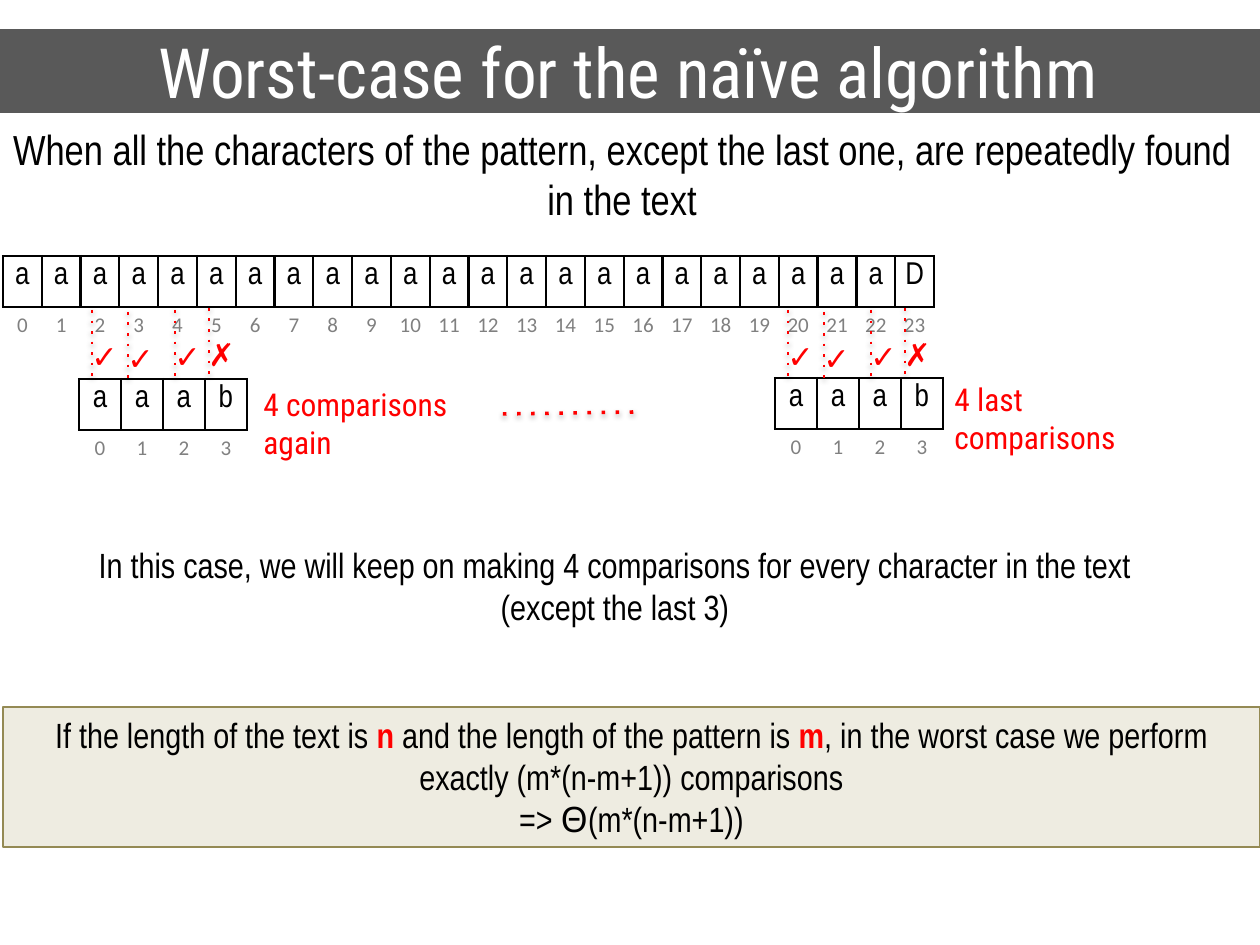
from lxml.etree import SubElement
from pptx import Presentation
from pptx.dml.color import RGBColor
from pptx.enum.shapes import MSO_CONNECTOR, MSO_SHAPE
from pptx.enum.text import MSO_ANCHOR, MSO_AUTO_SIZE, PP_ALIGN
from pptx.oxml import parse_xml
from pptx.oxml.ns import nsdecls, qn
from pptx.util import Emu, Pt

BLACK = RGBColor(0x00, 0x00, 0x00)
WHITE = RGBColor(0xFF, 0xFF, 0xFF)
RED = RGBColor(0xFF, 0x00, 0x00)
GRAY = RGBColor(0x80, 0x80, 0x80)
DARK = RGBColor(0x59, 0x59, 0x59)
CREAM = RGBColor(0xEE, 0xEC, 0xE1)
OLIVE = RGBColor(0x94, 0x8A, 0x54)
NARROW, CONDENSED = "Arial Narrow", "Roboto Condensed"
NO_GRID = "{2D5ABB26-0587-4C30-8999-92F81FD0307C}"
ROW_H = 51
SHADOW = (f'<a:effectLst {nsdecls("a")}><a:outerShdw blurRad="40000" dist="20000" '
          'dir="5400000" rotWithShape="0"><a:srgbClr val="000000">'
          '<a:alpha val="38000"/></a:srgbClr></a:outerShdw></a:effectLst>')


def px(n):
    return Emu(round(n * 914400 / 126))


class Deck:
    """Holds the style and the current slide."""

    def __init__(self, prs):
        self.s = prs.slides.add_slide(prs.slide_layouts[5])

    def style(self, p, size, font, color, align=PP_ALIGN.CENTER):
        p.alignment = align
        p.font.size, p.font.name = Pt(size), font
        p.font.color.rgb = color

    def title(self, text, x, y, w, h):
        sp = self.s.shapes.title
        sp.left, sp.top, sp.width, sp.height = px(x), px(y), px(w), px(h)
        sp.fill.solid()
        sp.fill.fore_color.rgb = DARK
        tf = sp.text_frame
        tf.text = text
        tf.vertical_anchor = MSO_ANCHOR.MIDDLE
        tf.auto_size = MSO_AUTO_SIZE.NONE
        self.style(tf.paragraphs[0], 39.6, CONDENSED, WHITE)

    def text(self, text, x, y, w, h, size, font, color=BLACK,
             align=PP_ALIGN.CENTER, wrap=True, shapes=None):
        sp = (shapes or self.s.shapes).add_textbox(px(x), px(y), px(w), px(h))
        tf = sp.text_frame
        tf.word_wrap = wrap
        tf.text = text
        self.style(tf.paragraphs[0], size, font, color, align)

    def panel(self, paragraphs, x, y, w, h):
        sp = self.s.shapes.add_shape(MSO_SHAPE.RECTANGLE, px(x), px(y), px(w), px(h))
        sp.shadow.inherit = False
        sp.fill.solid()
        sp.fill.fore_color.rgb = CREAM
        sp.line.color.rgb = OLIVE
        sp.line.width = Pt(0.75)
        tf = sp.text_frame
        tf.word_wrap = True
        tf.vertical_anchor = MSO_ANCHOR.TOP
        for i, runs in enumerate(paragraphs):
            p = tf.add_paragraph() if i else tf.paragraphs[0]
            p.alignment = PP_ALIGN.CENTER
            for text, font, color in runs:
                r = p.add_run()
                r.text = text
                r.font.size, r.font.name = Pt(20), font
                r.font.bold = color == RED
                r.font.color.rgb = color

    def dots(self, x1, y1, x2, y2, width, shapes=None):
        c = (shapes or self.s.shapes).add_connector(
            MSO_CONNECTOR.STRAIGHT, px(x1), px(y1), px(x2), px(y2))
        c.line.color.rgb = RED
        c.line.width = Pt(width)
        spPr = c._element.spPr
        SubElement(spPr.find(qn("a:ln")), qn("a:prstDash")).set("val", "dot")
        spPr.append(parse_xml(SHADOW))

    def mark(self, symbol, x, y):
        shapes = self.s.shapes.add_group_shape().shapes
        self.text(symbol, x, y, 50, 50, 18, "Arial", RED, PP_ALIGN.LEFT, False, shapes)
        self.dots(x + 13, y - 21, x + 13, y + 46, 1.5, shapes)

    def cell(self, cell, text, size, font, color, sides):
        cell.margin_left = cell.margin_right = px(5)
        cell.margin_top = cell.margin_bottom = px(6)
        cell.text_frame.text = text
        self.style(cell.text_frame.paragraphs[0], size, font, color)
        tcPr = cell._tc.get_or_add_tcPr()
        for side in sides:
            tcPr.append(parse_xml(
                f'<a:ln{side} {nsdecls("a")} w="19050"><a:solidFill>'
                f'<a:srgbClr val="{BLACK}"/></a:solidFill></a:ln{side}>'))
        cell.fill.background()

    def letters(self, word, x, y, w):
        tbl = self.s.shapes.add_table(
            2, len(word), px(x), px(y), px(w), px(2 * ROW_H)).table
        tbl.first_row = tbl.horz_banding = False
        tbl._tbl.tblPr.find(qn("a:tableStyleId")).text = NO_GRID
        for i, letter in enumerate(word):
            tbl.columns[i].width = px(w / len(word))
            self.cell(tbl.cell(0, i), letter, 18, NARROW, BLACK, "LRTB")
            self.cell(tbl.cell(1, i), str(i), 12, "Calibri", GRAY, "T")


def main():
    prs = Presentation()
    prs.slide_width, prs.slide_height = px(1260), px(945)
    d = Deck(prs)
    d.title("Worst-case for the naïve algorithm", -3, 29, 1263, 84)
    d.text("When all the characters of the pattern, except the last one, "
           "are repeatedly found in the text", 0, 117, 1244, 115, 24, NARROW)

    d.letters("a" * 23 + "D", 3, 256, 932)
    for x in (79, 775):
        d.letters("aaab", x, 379 if x == 79 else 378, 168)
        for symbol, dx, y in (("✓", 0, 331), ("✓", 36, 333), ("✓", 83, 331), ("✗", 117, 329)):
            d.mark(symbol, x + dx, y)
    d.text("4 comparisons again", 251, 379, 231, 90, 18, CONDENSED, RED, PP_ALIGN.LEFT)
    d.text("4 last comparisons", 942, 374, 212, 90, 18, CONDENSED, RED, PP_ALIGN.LEFT)
    d.dots(503, 414, 634, 412, 2)

    d.text("In this case, we will keep on making 4 comparisons for every character "
           "in the text (except the last 3)", 79, 537, 1072, 97, 20, NARROW)
    d.panel([
        [("If the length of the text is ", NARROW, BLACK), ("n", NARROW, RED),
         (" and the length of the pattern is ", NARROW, BLACK), ("m", NARROW, RED),
         (", in the worst case we perform exactly (m*(n-m+1)) comparisons", NARROW, BLACK)],
        [("=> ", NARROW, BLACK), ("Θ", "Noto Sans", BLACK), ("(m*(n-m+1))", NARROW, BLACK)],
    ], 3, 707, 1257, 140)
    prs.save("out.pptx")


if __name__ == "__main__":
    main()
